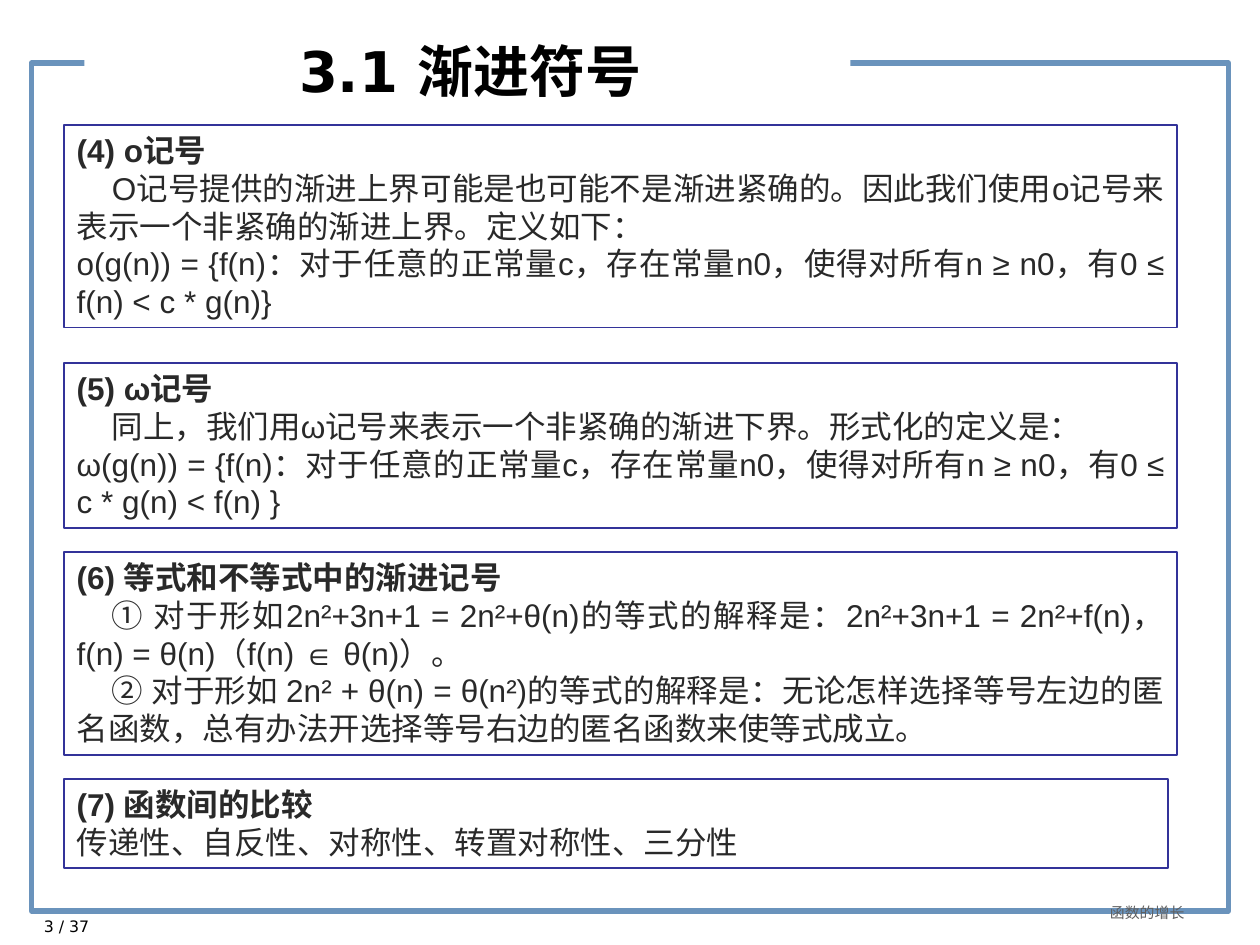
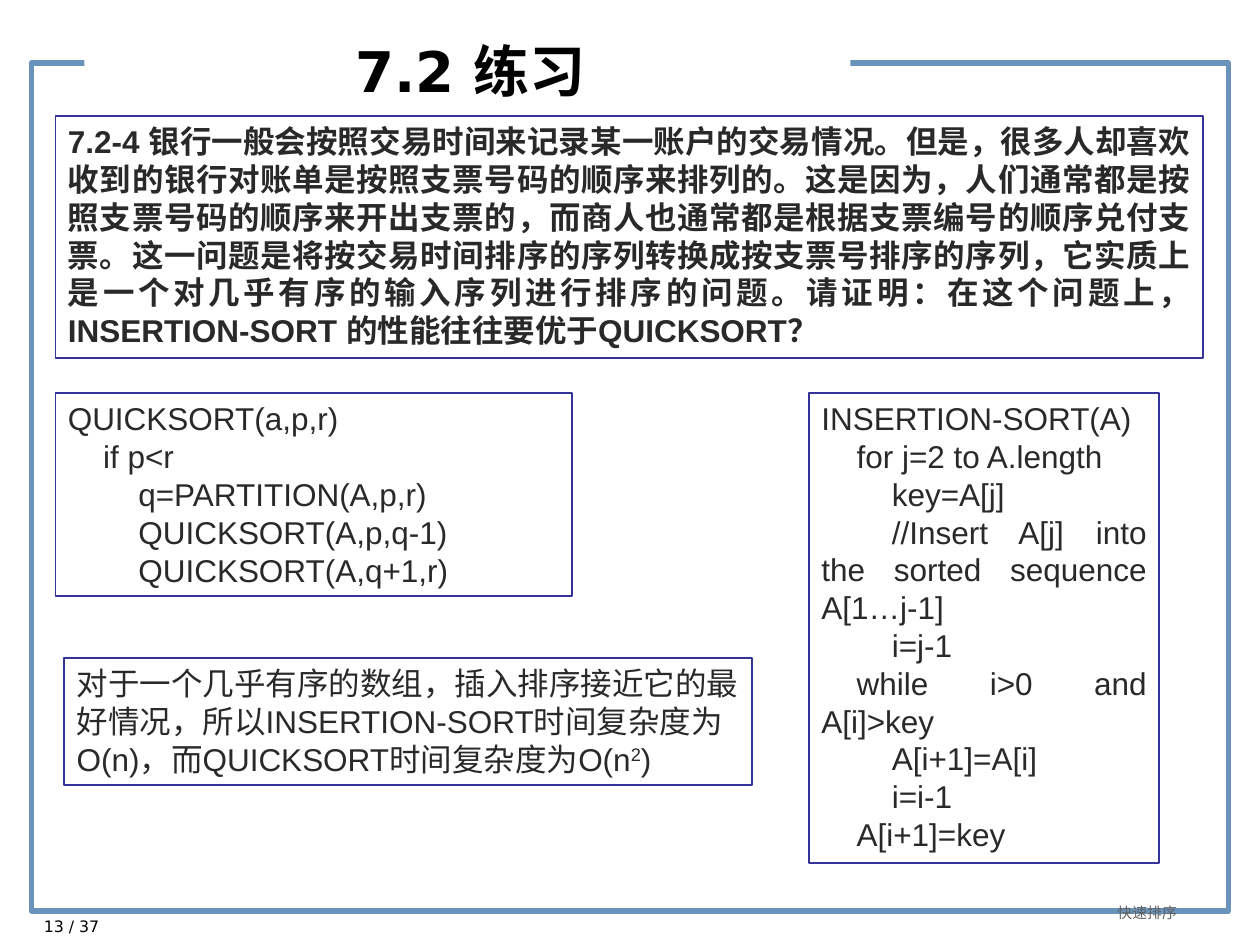
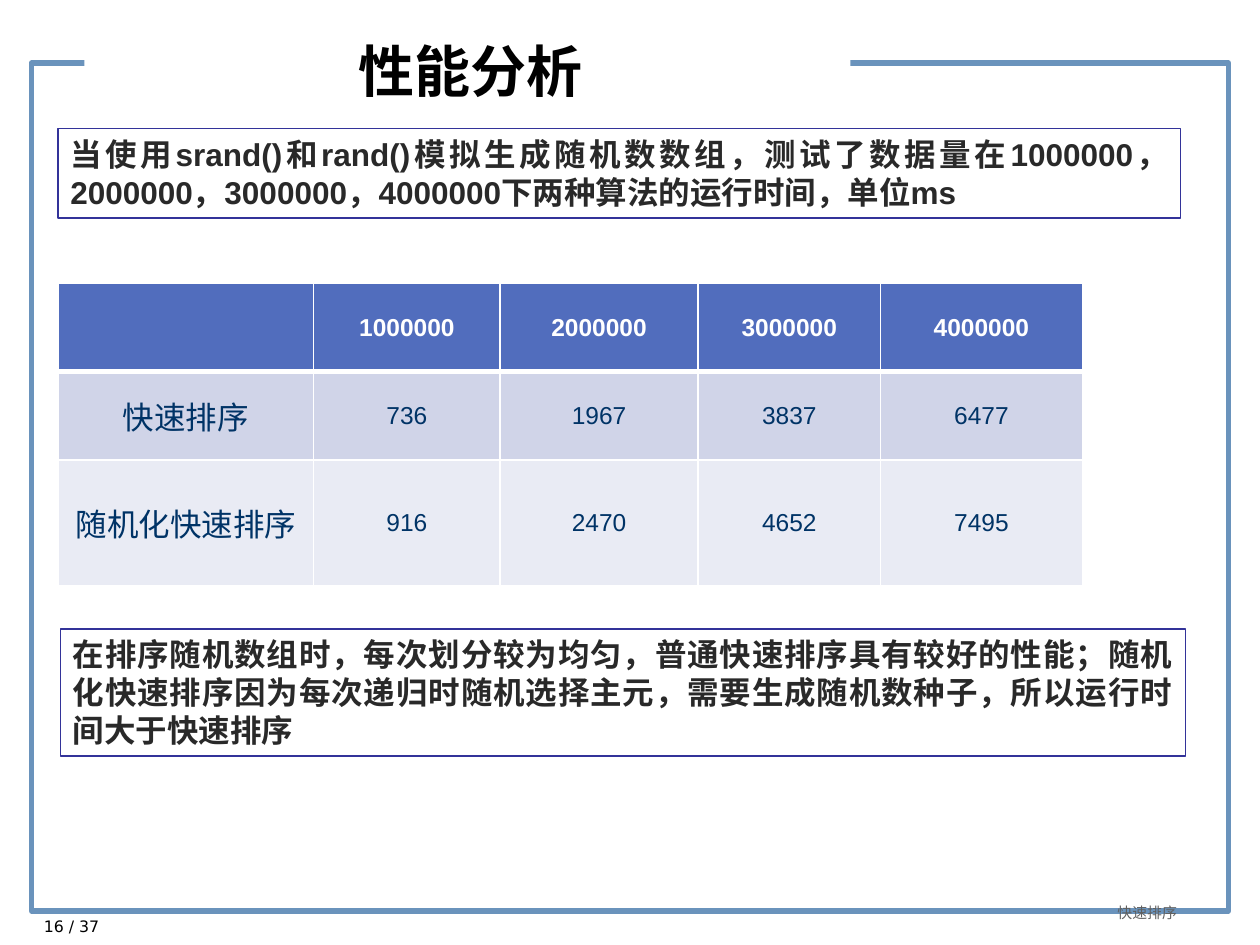
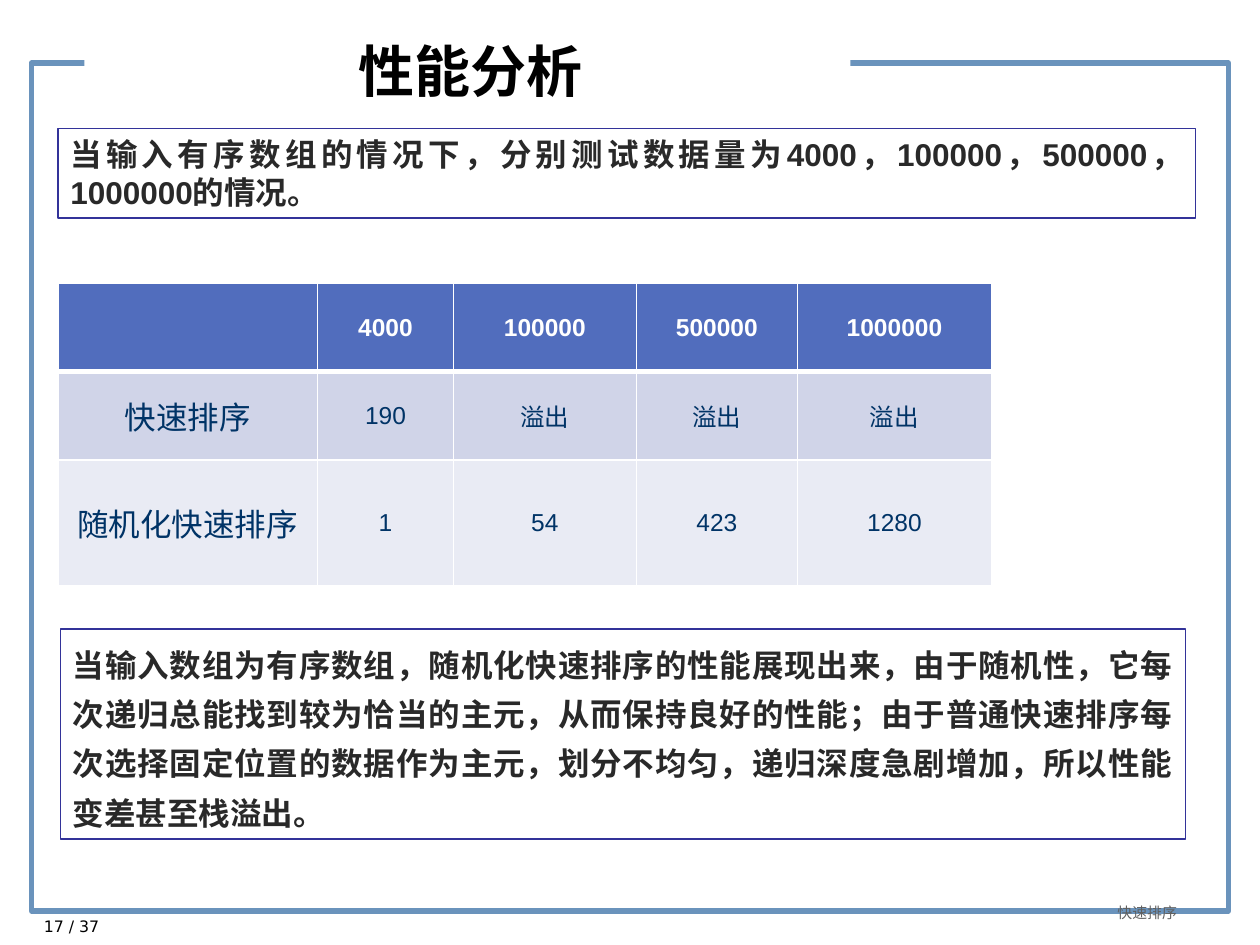
import dataclasses
import typing

import pptx
import pptx.dml.color
import pptx.enum.shapes
import pptx.enum.text
import pptx.oxml
import pptx.oxml.ns
import pptx.util

Inches = pptx.util.Inches
Pt = pptx.util.Pt
Align = pptx.enum.text.PP_ALIGN
Anchor = pptx.enum.text.MSO_ANCHOR
Fit = pptx.enum.text.MSO_AUTO_SIZE
Place = tuple[float, float, float, float]


# Theme: colours, fonts and type sizes
@dataclasses.dataclass(frozen=True)
class Theme:
    frame: str = "6A93BC"
    edge: str = "333399"
    ink: str = "292929"
    black: str = "000000"
    white: str = "FFFFFF"
    grey: str = "5F5F5F"
    head: str = "516DBD"
    cell: str = "003366"
    bands: tuple[str, ...] = ("D0D4E8", "E9EBF4")
    sans: str = "DejaVu Sans"
    body: str = "Arial"
    title: float = 32
    text: float = 18
    data: float = 14
    page: float = 9
    foot: float = 8.5


THEME = Theme()
STEP = 0.28  # one level of indent


# Repeated elements
@dataclasses.dataclass(frozen=True)
class Line:
    text: str  # a part between two ^ marks is raised
    bold: bool = False
    level: int = 0


@dataclasses.dataclass(frozen=True)
class Box:
    at: Place
    lines: list[Line]
    align: Align = Align.JUSTIFY
    space: float | None = None


@dataclasses.dataclass(frozen=True)
class Grid:
    cols: tuple[float, ...]
    rows: list[list[str]]


@dataclasses.dataclass(frozen=True)
class Page:
    title: str
    number: int
    topic: str
    boxes: list[Box]
    grid: Grid | None = None


def rgb(code: str) -> pptx.dml.color.RGBColor:
    return pptx.dml.color.RGBColor.from_string(code)


def spot(at: Place) -> list[int]:
    return [Inches(value) for value in at]


def write(frame: typing.Any, lines: str | list[Line], *, size: float = THEME.text,
          font: str = THEME.body, color: str = THEME.ink, bold: bool = False,
          align: Align = Align.LEFT, anchor: Anchor = Anchor.TOP,
          space: float | None = None) -> None:
    if isinstance(lines, str):
        lines = [Line(lines, bold)]
    frame.word_wrap = True
    frame.vertical_anchor = anchor
    for index, line in enumerate(lines):
        para = frame.add_paragraph() if index else frame.paragraphs[0]
        para.alignment = align
        if space:
            para.line_spacing = space
        if line.level:
            para._p.get_or_add_pPr().set("indent", str(Inches(STEP * line.level)))
        for turn, part in enumerate(line.text.split("^")):
            run = para.add_run()
            run.text = part
            run.font.name = font
            run.font.size = Pt(size)
            run.font.bold = line.bold
            run.font.color.rgb = rgb(color)
            if turn % 2:
                run._r.get_or_add_rPr().set("baseline", "30000")


def rect(slide: typing.Any, at: Place, *, fill: str = "", line: str = "",
         width: float = 1) -> typing.Any:
    shape = slide.shapes.add_shape(pptx.enum.shapes.MSO_SHAPE.RECTANGLE, *spot(at))
    shape.shadow.inherit = False
    if fill:
        shape.fill.solid()
        shape.fill.fore_color.rgb = rgb(fill)
    else:
        shape.fill.background()
    if line:
        shape.line.color.rgb = rgb(line)
        shape.line.width = Pt(width)
    else:
        shape.line.fill.background()
    return shape


def label(slide: typing.Any, at: Place, text: str, **style: typing.Any) -> None:
    write(slide.shapes.add_textbox(*spot(at)).text_frame, text, font=THEME.sans, **style)


def dress(slide: typing.Any) -> None:
    """Move the shared frame, with its gap for the title, to the layout."""
    parts = [rect(slide, (0.25, 0.5, 9.5, 6.73), line=THEME.frame, width=3),
             rect(slide, (0.67, 0.15, 6.08, 1.19), fill=THEME.white)]
    tree = slide.slide_layout.shapes.element
    for index, part in enumerate(parts):
        part.element.xpath("p:nvSpPr/p:cNvPr")[0].set("id", str(20 + index))
        tree.insert(2 + index, part.element)


def rule(cell: typing.Any, base: float) -> None:
    """Give a cell white borders, the lower one of its own width."""
    props = cell._tc.get_or_add_tcPr()
    for index, (side, width) in enumerate(zip("LRTB", (1, 1, 1, base))):
        props.insert(index, pptx.oxml.parse_xml(
            f'<a:ln{side} {pptx.oxml.ns.nsdecls("a")} w="{Pt(width)}"><a:solidFill>'
            f'<a:srgbClr val="{THEME.white}"/></a:solidFill></a:ln{side}>'))


def chart(slide: typing.Any, grid: Grid) -> None:
    """Draw the table of run times."""
    tall = (0.7, 0.7, 1)
    at = (0.46, 2.25, sum(grid.cols), sum(tall))
    table = slide.shapes.add_table(len(tall), len(grid.cols), *spot(at)).table
    for col, width in zip(table.columns, grid.cols):
        col.width = Inches(width)
    for y, (row, height) in enumerate(zip(grid.rows, tall)):
        table.rows[y].height = Inches(height)
        for x, text in enumerate(row):
            cell = table.cell(y, x)
            cell.fill.solid()
            cell.fill.fore_color.rgb = rgb((THEME.head, *THEME.bands)[y])
            rule(cell, 1 if y else 3)
            cell.vertical_anchor = Anchor.MIDDLE
            if text:
                write(cell.text_frame, text, size=THEME.data if x else THEME.text,
                      color=THEME.cell if y else THEME.white, bold=y == 0,
                      align=Align.CENTER, anchor=Anchor.MIDDLE)


def draw(slide: typing.Any, page: Page) -> None:
    # Title
    title = slide.shapes.title
    title.left, title.top, title.width, title.height = spot((0.75, 0.25, 5.97, 0.62))
    write(title.text_frame, page.title, size=THEME.title, font=THEME.sans,
          color=THEME.black, bold=True, align=Align.CENTER, anchor=Anchor.MIDDLE)
    # Body
    for box in page.boxes:
        frame = rect(slide, box.at, line=THEME.edge).text_frame
        frame.auto_size = Fit.SHAPE_TO_FIT_TEXT
        write(frame, box.lines, align=box.align, space=box.space)
    if page.grid:
        chart(slide, page.grid)
    # Footer
    label(slide, (0.25, 7.23, 2.33, 0.27), f"{page.number} / 37",
          size=THEME.page, color=THEME.black)
    label(slide, (8.59, 7.12, 1.03, 0.28), page.topic,
          size=THEME.foot, color=THEME.grey, align=Align.CENTER)


def code(*lines: tuple[int, str]) -> list[Line]:
    return [Line(text, level=level) for level, text in lines]


def bold(text: str) -> list[Line]:
    return [Line(text, True)]


# Content
SORT = "快速排序"
RAND = "随机化快速排序"
PAGES = [
    Page("3.1 渐进符号", 3, "函数的增长", [
        Box((0.51, 0.99, 8.83, 1.61), [
            Line("(4) ο记号", True),
            Line("Ο记号提供的渐进上界可能是也可能不是渐进紧确的。因此我们使用ο记号"
                 "来表示一个非紧确的渐进上界。定义如下：", level=1),
            Line("ο(g(n)) = {f(n)：对于任意的正常量c，存在常量n0，使得对所有"
                 "n ≥ n0，有0 ≤ f(n) < c * g(n)}")]),
        Box((0.51, 2.88, 8.83, 1.31), [
            Line("(5) ω记号", True),
            Line("同上，我们用ω记号来表示一个非紧确的渐进下界。形式化的定义是：", level=1),
            Line("ω(g(n)) = {f(n)：对于任意的正常量c，存在常量n0，使得对所有"
                 "n ≥ n0，有0 ≤ c * g(n) < f(n) }")]),
        Box((0.51, 4.38, 8.83, 1.61), [
            Line("(6) 等式和不等式中的渐进记号", True),
            Line("① 对于形如2n²+3n+1 = 2n²+θ(n)的等式的解释是："
                 "2n²+3n+1 = 2n²+f(n)，f(n) = θ(n)（f(n) ∈ θ(n)）。", level=1),
            Line("② 对于形如 2n² + θ(n) = θ(n²)的等式的解释是：无论怎样选择等号左边的"
                 "匿名函数，总有办法开选择等号右边的匿名函数来使等式成立。", level=1)]),
        Box((0.51, 6.18, 8.76, 0.71), [
            Line("(7) 函数间的比较", True),
            Line("传递性、自反性、对称性、转置对称性、三分性")]),
    ]),
    Page("7.2 练习", 13, SORT, [
        Box((0.44, 0.92, 9.11, 1.92), bold(
            "7.2-4 银行一般会按照交易时间来记录某一账户的交易情况。但是，很多人却喜"
            "欢收到的银行对账单是按照支票号码的顺序来排列的。这是因为，人们通常都是"
            "按照支票号码的顺序来开出支票的，而商人也通常都是根据支票编号的顺序兑付"
            "支票。这一问题是将按交易时间排序的序列转换成按支票号排序的序列，它实质"
            "上是一个对几乎有序的输入序列进行排序的问题。请证明：在这个问题上，"
            "INSERTION-SORT 的性能往往要优于QUICKSORT？")),
        Box((6.42, 3.12, 2.78, 3.73), code(
            (0, "INSERTION-SORT(A)"),
            (1, "for j=2 to A.length"),
            (2, "key=A[j]"),
            (2, "//Insert A[j] into the sorted sequence A[1…j-1]"),
            (2, "i=j-1"),
            (1, "while i>0 and A[i]>key"),
            (2, "A[i+1]=A[i]"),
            (2, "i=i-1"),
            (1, "A[i+1]=key"))),
        Box((0.44, 3.12, 4.1, 1.61), code(
            (0, "QUICKSORT(a,p,r)"),
            (1, "if p<r"),
            (2, "q=PARTITION(A,p,r)"),
            (2, "QUICKSORT(A,p,q-1)"),
            (2, "QUICKSORT(A,q+1,r)"))),
        Box((0.51, 5.22, 5.46, 1.01), [
            Line("对于一个几乎有序的数组，插入排序接近它的最好情况，所以INSERTION-SORT"
                 "时间复杂度为O(n)，而QUICKSORT时间复杂度为O(n^2^)")], Align.LEFT),
    ]),
    Page("性能分析", 16, SORT, [
        Box((0.46, 1.02, 8.91, 0.71), bold(
            "当使用srand()和rand()模拟生成随机数数组，测试了数据量在1000000，"
            "2000000，3000000，4000000下两种算法的运行时间，单位ms")),
        Box((0.48, 4.99, 8.93, 1.01), bold(
            "在排序随机数组时，每次划分较为均匀，普通快速排序具有较好的性能；随机"
            "化快速排序因为每次递归时随机选择主元，需要生成随机数种子，所以运行时"
            "间大于快速排序")),
    ], Grid((2.03, 1.48, 1.57, 1.45, 1.6), [
        ["", "1000000", "2000000", "3000000", "4000000"],
        [SORT, "736", "1967", "3837", "6477"],
        [RAND, "916", "2470", "4652", "7495"]])),
    Page("性能分析", 17, SORT, [
        Box((0.46, 1.02, 9.03, 0.71), bold(
            "当输入有序数组的情况下，分别测试数据量为4000，100000，500000，"
            "1000000的情况。")),
        Box((0.48, 4.99, 8.93, 1.67), bold(
            "当输入数组为有序数组，随机化快速排序的性能展现出来，由于随机性，它每"
            "次递归总能找到较为恰当的主元，从而保持良好的性能；由于普通快速排序每"
            "次选择固定位置的数据作为主元，划分不均匀，递归深度急剧增加，所以性能"
            "变差甚至栈溢出。"), space=1.3),
    ], Grid((2.06, 1.08, 1.45, 1.28, 1.54), [
        ["", "4000", "100000", "500000", "1000000"],
        [SORT, "190", "溢出", "溢出", "溢出"],
        [RAND, "1", "54", "423", "1280"]])),
]


def main() -> None:
    deck = pptx.Presentation()
    deck.slide_width, deck.slide_height = Inches(10), Inches(7.5)
    plain = deck.slide_layouts.get_by_name("Title Only")
    for index, page in enumerate(PAGES):
        slide = deck.slides.add_slide(plain)
        if index == 0:
            dress(slide)
        draw(slide, page)
    deck.save("out.pptx")


if __name__ == "__main__":
    main()
